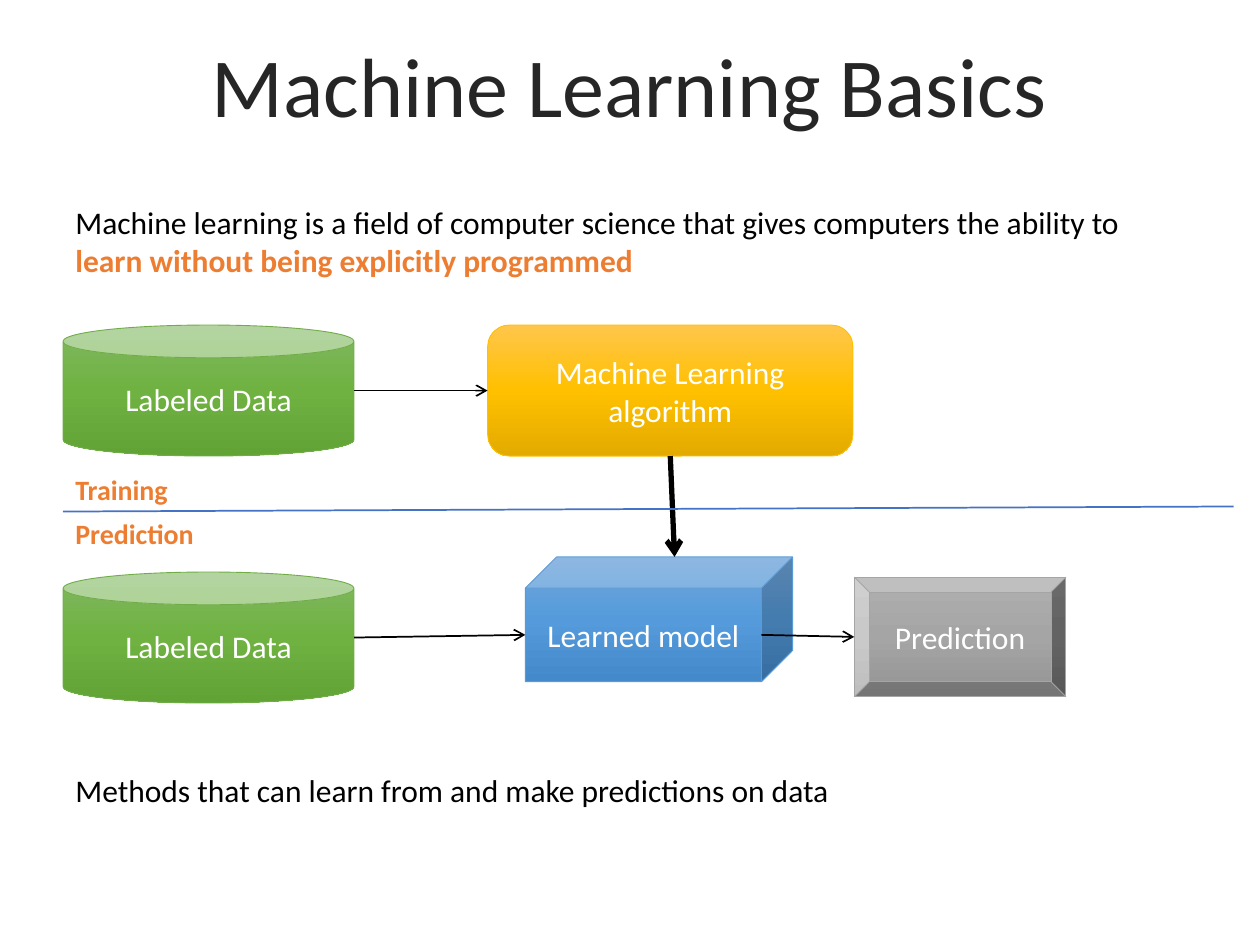
from pptx import Presentation
from pptx import util as u
from pptx.dml.color import RGBColor
from pptx.enum import shapes, text
from pptx.oxml import parse_xml
from pptx.oxml.ns import nsdecls

THEME = {
    "font": "Calibri", "title": 48, "body": 18, "label": 16,
    "ink": "000000", "head": "262626", "accent": "ED7D31",
    "light": "FFFFFF", "rule": "4472C4",
    # edge colour, then gradient from top to bottom
    "green": ("70AD47", "81B861", "6FB242", "62A336"),
    "gold": ("FFC000", "FFC64B", "FFC000", "E3AB00"),
    "blue": ("5B9BD5", "71A6DB", "559BDB", "448ACA"),
    "gray": ("A5A5A5", "AFAFAF", "A5A5A5", "939393"),
}
LEFT = 0.5
KIND = shapes.MSO_SHAPE

# Content: words, box, format
TEXTS = [
    ([("Machine Learning Basics", "head", False)], (0.6, 0.2, 8.79, 0.94),
     dict(size="title", align="CENTER", anchor="MIDDLE")),
    ([("Machine learning is a field of computer science that gives "
       "computers the ability to ", "ink", False),
      ("learn without being explicitly programmed", "accent", True)],
     (LEFT, 1.56, 8.64, 0.71), {}),
    ([("Methods that can learn from and make predictions on data",
       "ink", False)], (LEFT, 6.07, 9.29, 0.4), {}),
    ([("Training", "accent", True)], (LEFT, 3.7, 1.04, 0.37),
     dict(size="label", wrap=False)),
    ([("Prediction", "accent", True)], (LEFT, 4.05, 1.29, 0.37),
     dict(size="label", wrap=False)),
]
NODES = {
    "train": ("Labeled Data", KIND.CAN, "green", (LEFT, 2.58, 2.31, 1.04)),
    "input": ("Labeled Data", KIND.CAN, "green", (LEFT, 4.54, 2.31, 1.04)),
    "algo": ("Machine Learning algorithm", KIND.ROUNDED_RECTANGLE, "gold",
             (3.87, 2.58, 2.9, 1.04)),
    "model": ("Learned model", KIND.CUBE, "blue", (4.17, 4.42, 2.12, 0.99)),
    "result": ("Prediction", KIND.BEVEL, "gray", (6.78, 4.58, 1.68, 0.95)),
}
# Start node and side, end node and side, width
LINKS = [
    ("train", "right", "algo", "left", 1),
    ("input", "right", "model", "left", 1),
    ("model", "right", "result", "left", 1),
    ("algo", "bottom", "model", "top", 3),
]
RULE = ((LEFT, 4.06), (9.79, 4.02))
SITES = {"top": 0, "left": 1, "bottom": 2, "right": 3}


def rgb(name):
    return RGBColor.from_string(THEME.get(name, name))


def write(shape, runs, size="body", align="LEFT", anchor="TOP", wrap=True):
    frame = shape.text_frame
    frame.word_wrap = wrap
    frame.vertical_anchor = getattr(text.MSO_ANCHOR, anchor)
    para = frame.paragraphs[0]
    para.alignment = getattr(text.PP_ALIGN, align)
    for words, color, bold in runs:
        run = para.add_run()
        run.text = words
        font = run.font
        font.name, font.size, font.bold = THEME["font"], u.Pt(THEME[size]), bold
        font.color.rgb = rgb(color)


def shade(shape, edge, *stops):
    marks = "".join(
        f'<a:gs pos="{i * 50000}"><a:srgbClr val="{c}"/></a:gs>'
        for i, c in enumerate(stops))
    grad = parse_xml(
        f'<a:gradFill {nsdecls("a")} rotWithShape="1"><a:gsLst>{marks}'
        '</a:gsLst><a:lin ang="5400000" scaled="0"/></a:gradFill>')
    shape._element.spPr.insert(2, grad)
    shape.line.color.rgb = rgb(edge)
    shape.line.width = u.Pt(0.5)
    shape.shadow.inherit = False


def site(name, side):
    """Point where a link meets a node; a cube's front face is inset."""
    _, kind, _, (x, y, w, h) = NODES[name]
    inset = min(w, h) / 4 if kind == KIND.CUBE else 0
    front = w - inset
    return {
        "top": (x + (w + inset) / 2, y),
        "left": (x, y + (h + inset) / 2),
        "bottom": (x + front / 2, y + h),
        "right": (x + front, y + (h + inset) / 2),
    }[side]


def draw_line(slide, start, end, color, width, arrow=False):
    ends = [u.Inches(v) for v in (*start, *end)]
    line = slide.shapes.add_connector(shapes.MSO_CONNECTOR.STRAIGHT, *ends)
    line.line.color.rgb = rgb(color)
    line.line.width = u.Pt(width)
    if arrow:
        line.line._get_or_add_ln().append(
            parse_xml(f'<a:tailEnd {nsdecls("a")} type="arrow"/>'))
    line._element.spPr.append(parse_xml(f'<a:effectLst {nsdecls("a")}/>'))
    return line


def main():
    deck = Presentation()
    deck.slide_width, deck.slide_height = u.Inches(10), u.Inches(7.5)
    slide = deck.slides.add_slide(deck.slide_layouts[6])

    # Flow nodes
    made = {}
    for name, (words, kind, tone, box) in NODES.items():
        node = slide.shapes.add_shape(kind, *map(u.Inches, box))
        shade(node, *THEME[tone])
        write(node, [(words, "light", False)], align="CENTER", anchor="MIDDLE")
        made[name] = node

    # Arrows, joined where a node's side has a midpoint site
    for src, out, dst, into, width in LINKS:
        link = draw_line(slide, site(src, out), site(dst, into), "ink", width,
                         arrow=True)
        if NODES[src][1] == KIND.ROUNDED_RECTANGLE:
            link.begin_connect(made[src], SITES[out])
        if NODES[dst][1] == KIND.ROUNDED_RECTANGLE:
            link.end_connect(made[dst], SITES[into])

    # Line between training and prediction
    draw_line(slide, *RULE, "rule", 1)

    # Title, statements and labels
    for runs, box, form in TEXTS:
        write(slide.shapes.add_textbox(*map(u.Inches, box)), runs, **form)

    deck.save("out.pptx")


if __name__ == "__main__":
    main()
